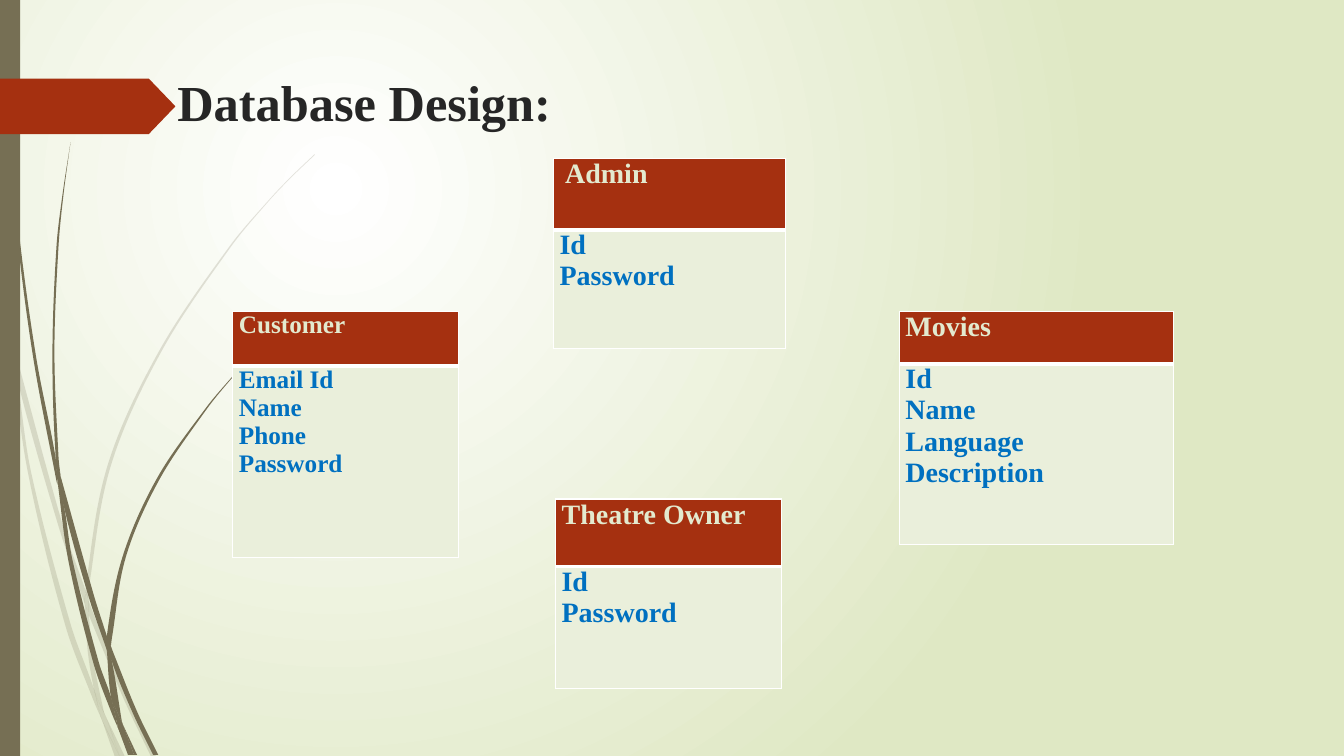
from lxml.etree import SubElement
from pptx import Presentation
from pptx.dml.color import RGBColor
from pptx.enum.shapes import MSO_SHAPE
from pptx.enum.text import MSO_ANCHOR
from pptx.oxml.ns import qn
from pptx.util import Pt

PX = 9144  # 100 px to the inch
FONT = "Times New Roman"
WHITE = RGBColor(0xFF, 0xFF, 0xFF)
LIME = RGBColor(0xDF, 0xE8, 0xC4)
OLIVE = RGBColor(0x76, 0x6F, 0x54)
RUST = RGBColor(0xA5, 0x30, 0x10)
INK = RGBColor(0x26, 0x26, 0x26)
CREAM = RGBColor(0xE3, 0xEA, 0xCF)
BLUE = RGBColor(0x00, 0x70, 0xC0)
PALE = RGBColor(0xEA, 0xEF, 0xDB)

TITLE = "Database Design:"

# Entity, fields, text size, (left, top, width), (head height, body height)
TABLES = [
    ("Customer", ["Email Id", "Name", "Phone", "Password"], 18, (231, 309, 224), (54, 190)),
    (" Admin", ["Id", "Password"], 20, (549, 157, 230), (71, 118)),
    ("Movies", ["Id", "Name", "Language", "Description"], 20, (892, 309, 272), (52, 179)),
    ("Theatre Owner", ["Id", "Password"], 20, (551, 495, 224), (67, 121)),
]

# Grass: each piece has a left and a right edge, both from top to bottom
PALE_GRASS = [
    ([(0, 299), (10, 344), (11, 350)], [(0, 282), (9, 322), (11, 350)]),
    ([(14, 345), (17, 376), (58, 522), (84, 599)], [(14, 345), (62, 520), (85, 586)]),
    ([(88, 610), (123, 694), (150, 751)], [(88, 596), (92, 607), (127, 692), (155, 751)]),
    ([(105, 711), (119, 751)], [(105, 711), (124, 751)]),
    ([(11, 350), (28, 470), (65, 621), (92, 693), (101, 714)],
     [(11, 350), (17, 376), (31, 469), (70, 619), (93, 683), (99, 707), (101, 714)]),
    ([(84, 599), (87, 646), (93, 683), (96, 692), (105, 711)],
     [(84, 599), (88, 610), (91, 646), (103, 706), (105, 711)]),
    ([(312, 153), (289, 175), (268, 197), (228, 244), (158, 348), (107, 461), (85, 584),
      (88, 596)],
     [(312, 154), (290, 175), (268, 198), (229, 245), (160, 349), (110, 462), (88, 584),
      (88, 596)]),
    ([(101, 714), (114, 751)], [(101, 714), (119, 751)]),
    ([(85, 586), (84, 599), (88, 608)], [(85, 586), (88, 596), (88, 610)]),
    ([(93, 683), (99, 707), (101, 714), (119, 751)],
     [(93, 683), (96, 692), (105, 711), (119, 751)]),
]
DARK_GRASS = [
    ([(3, 0), (4, 48), (7, 110), (17, 233), (33, 355), (56, 477), (57, 481)],
     [(4, 0), (5, 48), (8, 109), (19, 232), (36, 355), (55, 453), (57, 481)]),
    ([(60, 472), (64, 505), (88, 592), (106, 645)], [(60, 472), (93, 590), (106, 631)]),
    ([(110, 641), (111, 656), (132, 708), (152, 749)],
     [(110, 641), (113, 649), (136, 706), (157, 749)]),
    ([(57, 477), (68, 557), (93, 659), (111, 708), (117, 722)],
     [(57, 477), (64, 505), (72, 556), (98, 657), (110, 691), (116, 717), (117, 722)]),
    ([(70, 141), (62, 193), (56, 245), (52, 349), (55, 449), (60, 472)],
     [(70, 141), (63, 193), (58, 245), (54, 349), (58, 453), (60, 472)]),
    ([(122, 719), (133, 749)], [(122, 719), (136, 749)]),
    ([(55, 449), (57, 477), (64, 505)], [(55, 449), (60, 472), (64, 505)]),
    ([(260, 344), (245, 358), (231, 373), (204, 405), (156, 474), (122, 551), (106, 631),
      (110, 641)],
     [(261, 344), (245, 359), (231, 374), (205, 406), (158, 476), (125, 552), (111, 633),
      (110, 641)]),
    ([(117, 722), (127, 749)], [(117, 722), (131, 749)]),
    ([(106, 645), (110, 691), (116, 706), (122, 719)],
     [(106, 645), (111, 656), (121, 716), (122, 719)]),
    ([(106, 631), (106, 645), (111, 656)], [(106, 631), (110, 641), (111, 656)]),
    ([(110, 691), (116, 717), (117, 722), (130, 749)],
     [(110, 691), (116, 706), (122, 719), (133, 749)]),
]


def edge_slopes(edge):
    """dx/dy at each point of an edge, from its neighbours."""
    pairs = zip([edge[0]] + edge[:-1], edge[1:] + [edge[-1]])
    return [(x1 - x0) / (y1 - y0) for (x0, y0), (x1, y1) in pairs]


def paint(shape, color, opacity=100):
    shape.shadow.inherit = False
    shape.fill.solid()
    shape.fill.fore_color.rgb = color
    shape.line.fill.background()
    if opacity < 100:
        for node in shape.element.spPr.iter(qn("a:srgbClr")):
            SubElement(node, qn("a:alpha"), val=str(opacity * 1000))


def add_grass(page, left, right, opacity):
    outline = left + right[::-1]
    slopes = edge_slopes(left) + edge_slopes(right)[::-1]
    points = [(x * PX, y * PX) for x, y in outline]
    builder = page.shapes.build_freeform(*points[0], scale=1.0)
    builder.add_line_segments(points[1:], close=False)
    shape = builder.convert_to_shape()
    # Bend every segment except the one that joins the two edges
    for i, node in enumerate(list(shape.element.iter(qn("a:lnTo")))):
        if i == len(left) - 1:
            continue
        (x0, y0), (x1, y1) = points[i], points[i + 1]
        third = (y1 - y0) / 3
        controls = [(x0 + slopes[i] * third, y0 + third),
                    (x1 - slopes[i + 1] * third, y1 - third), (x1, y1)]
        curve = SubElement(node.getparent(), qn("a:cubicBezTo"))
        for x, y in controls:
            SubElement(curve, qn("a:pt"), x=str(round(x - shape.left)),
                       y=str(round(y - shape.top)))
        node.getparent().replace(node, curve)
    paint(shape, OLIVE, opacity)


def write(frame, lines, size, color):
    frame.word_wrap = True
    for i, line in enumerate(lines):
        para = frame.add_paragraph() if i else frame.paragraphs[0]
        span = para.add_run()
        span.text = line
        span.font.name = FONT
        span.font.size = Pt(size)
        span.font.bold = True
        span.font.color.rgb = color


def add_border(cell, side, points):
    props = cell._tc.get_or_add_tcPr()
    line = SubElement(props, qn("a:ln" + side), w=str(Pt(points)))
    SubElement(SubElement(line, qn("a:solidFill")), qn("a:srgbClr"), val=str(WHITE))


def add_entity(page, name, fields, size, place, heights):
    left, top, width = (n * PX for n in place)
    table = page.shapes.add_table(2, 1, left, top, width, sum(heights) * PX).table
    table.first_row = table.horz_banding = False
    parts = [([name], CREAM, RUST, (1, 1, 1, 3)), (fields, BLUE, PALE, (1, 1, 3, 1))]
    for i, (lines, color, back, borders) in enumerate(parts):
        table.rows[i].height = heights[i] * PX
        cell = table.cell(i, 0)
        cell.margin_left = cell.margin_right = 6 * PX
        cell.margin_top = cell.margin_bottom = 0
        for side, points in zip("LRTB", borders):
            add_border(cell, side, points)
        cell.fill.solid()
        cell.fill.fore_color.rgb = back
        write(cell.text_frame, lines, size, color)


def set_background(page):
    fill = page.background.fill
    fill.gradient()
    for stop, color, position in zip(fill.gradient_stops, (WHITE, LIME), (0, 1)):
        stop.color.rgb = color
        stop.position = position
    gradient = page.element.xpath(".//a:gradFill")[0]
    gradient.remove(gradient.find(qn("a:lin")))
    circle = SubElement(gradient, qn("a:path"))
    circle.set("path", "circle")
    SubElement(circle, qn("a:fillToRect"), l="50000", t="50000", r="100000", b="100000")


def main():
    deck = Presentation()
    deck.slide_width, deck.slide_height = 1333 * PX, 750 * PX
    page = deck.slides.add_slide(deck.slide_layouts[6])
    set_background(page)

    # Grass, side bar and arrow
    for pieces, opacity in ((PALE_GRASS, 20), (DARK_GRASS, 100)):
        for left, right in pieces:
            add_grass(page, left, right, opacity)
    bar = page.shapes.add_shape(MSO_SHAPE.RECTANGLE, 0, 0, 20 * PX, 750 * PX)
    paint(bar, OLIVE)
    arrow = page.shapes.add_shape(MSO_SHAPE.PENTAGON, 0, 78 * PX, 174 * PX, 55 * PX)
    arrow.adjustments[0] = 0.48
    paint(arrow, RUST)

    # Title
    box = page.shapes.add_textbox(166 * PX, 66 * PX, 862 * PX, 69 * PX)
    box.text_frame.vertical_anchor = MSO_ANCHOR.BOTTOM
    box.text_frame.margin_bottom = 4 * PX
    write(box.text_frame, [TITLE], 36, INK)

    # Entity tables
    for entity in TABLES:
        add_entity(page, *entity)
    deck.save("out.pptx")


if __name__ == "__main__":
    main()
